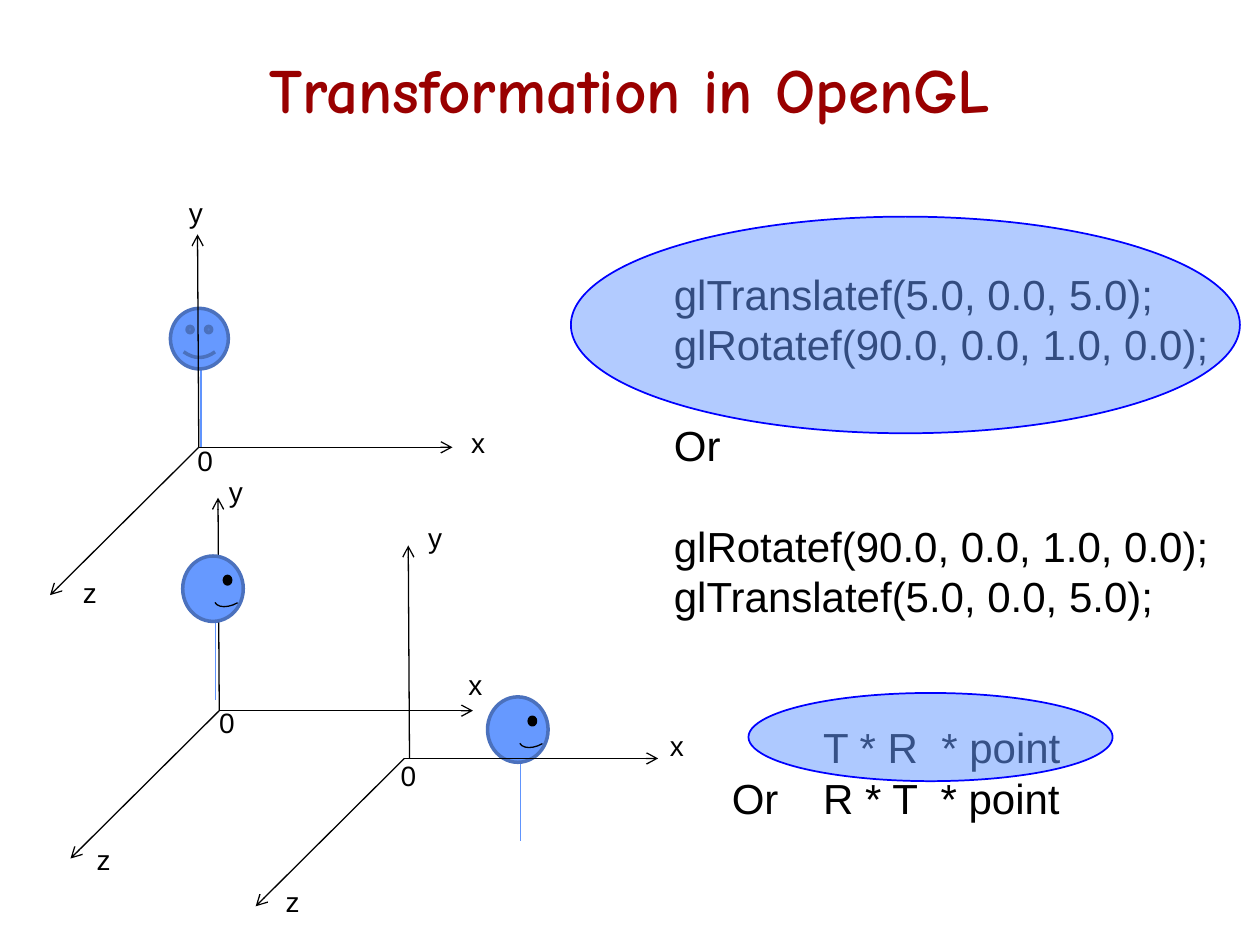
from lxml.etree import SubElement
from pptx import Presentation
from pptx.dml.color import RGBColor
from pptx.enum.shapes import MSO_CONNECTOR, MSO_SHAPE
from pptx.enum.text import MSO_ANCHOR, PP_ALIGN
from pptx.oxml.ns import qn
from pptx.util import Pt

THEME = {
    "title": "990000", "ink": "000000", "paper": "FFFFFF", "face": "6699FF",
    "rim": "4B71BD", "stick": "6094FD", "ring": "0000FF",
    "title_font": "Comic Neue", "font": "Arial",
    "title_size": 36, "code_size": 24, "label_size": 16,
}
TITLE = "Transformation in OpenGL"
LINE_PITCH, FORMULA, OR_START = 28.8, 85.3, 33.1
CODE = [
    {"text": "glTranslatef(5.0, 0.0, 5.0);"},
    {"text": "glRotatef(90.0, 0.0, 1.0, 0.0);"},
    {"text": "Or", "skip": 1},
    {"text": "glRotatef(90.0, 0.0, 1.0, 0.0);", "skip": 1},
    {"text": "glTranslatef(5.0, 0.0, 5.0);"},
    {"text": "T * R  * point", "skip": 2, "margin": FORMULA},
    {"text": "Or\tR * T  * point", "margin": FORMULA, "indent": OR_START - FORMULA},
]
AXES = {"z": (-85, 84.5), "x": (145, 0), "y": (-0.7, -121.7)}
FRAMES = [
    {"origin": (113.6, 255.6), "y_shift": 0, "head": (97.4, 176.2), "stick": (17.5, 30),
     "front": True, "over": False,
     "labels": {"0": (105.8, 249.8), "x": (262.1, 239.8), "y": (100.8, 108), "z": (40.3, 325.4)}},
    {"origin": (125.3, 406.1), "y_shift": 0, "head": (104.4, 317.7), "stick": (18.8, 33),
     "front": False, "over": True,
     "labels": {"0": (118.1, 399.6), "x": (260.6, 378), "y": (123.8, 267.8), "z": (48.2, 478.1)}},
    {"origin": (231.1, 433.4), "y_shift": 2.9, "head": (278.6, 398.2), "stick": (18.8, 33),
     "front": False, "over": False,
     "labels": {"0": (221.8, 429.8), "x": (375.8, 412.6), "y": (237.6, 293.8), "z": (156.2, 501.8)}},
]
HIGHLIGHTS = [((326.2, 123.8, 382.3, 123.8), 50), ((427.7, 396, 208.1, 50.4), 53)]


def rgb(name):
    return RGBColor.from_string(THEME[name])


def add_text(s, box, lines, size, color="ink", font="font", bold=False,
             align=PP_ALIGN.LEFT, anchor=MSO_ANCHOR.TOP, fill=None):
    sp = s.shapes.add_textbox(*map(Pt, box))
    if fill:
        sp.fill.solid()
        sp.fill.fore_color.rgb = rgb(fill)
    tf = sp.text_frame
    tf.word_wrap, tf.vertical_anchor = True, anchor
    for i, line in enumerate(lines):
        p = tf.add_paragraph() if i else tf.paragraphs[0]
        p.alignment = align
        p.space_before = Pt(line.get("skip", 0) * LINE_PITCH)
        r = p.add_run()
        r.text = line["text"]
        r.font.name, r.font.size, r.font.bold = THEME[font], Pt(THEME[size]), bold
        r.font.color.rgb = rgb(color)
        pPr = p._p.get_or_add_pPr()
        pPr.set("marL", str(Pt(line.get("margin", 0))))
        pPr.set("indent", str(Pt(line.get("indent", 0))))


def add_shape(s, kind, box, fill, line, width, alpha=None):
    sp = s.shapes.add_shape(kind, *map(Pt, box))
    sp.shadow.inherit = False
    if fill:
        sp.fill.solid()
        sp.fill.fore_color.rgb = rgb(fill)
    else:
        sp.fill.background()
    sp.line.color.rgb, sp.line.width = rgb(line), Pt(width)
    if alpha:
        clr = sp.fill._xPr.find(qn("a:solidFill"))[0]
        SubElement(clr, qn("a:alpha"), val=str(alpha * 1000))
    return sp


def add_line(s, x, y, dx, dy, color, arrow=False):
    c = s.shapes.add_connector(MSO_CONNECTOR.STRAIGHT, Pt(x), Pt(y), Pt(x + dx), Pt(y + dy))
    c.line.color.rgb, c.line.width = rgb(color), Pt(0.75)
    if arrow:
        SubElement(c.line._get_or_add_ln(), qn("a:tailEnd"), type="arrow")
    SubElement(c._element.spPr, qn("a:effectLst"))


def add_axes(s, frame):
    x, y = frame["origin"]
    for name, (dx, dy) in AXES.items():
        shift = frame["y_shift"] if name == "y" else 0
        add_line(s, x + shift, y, dx, dy, "ink", arrow=True)


def add_figure(s, frame):
    x, y = frame["head"]
    dx, dy = frame["stick"]
    add_line(s, x + dx, y + dy, 0, 49.5, "stick")
    if frame["front"]:
        add_shape(s, MSO_SHAPE.SMILEY_FACE, (x, y, 33.1, 34.6), "face", "rim", 2)
        return
    add_shape(s, MSO_SHAPE.OVAL, (x, y, 34.6, 37.4), "face", "rim", 2)
    mouth = add_shape(s, MSO_SHAPE.ARC, (x + 17, y + 14.6, 22.3, 13), None, "ink", 0.75)
    mouth.rotation = 150.5
    add_shape(s, MSO_SHAPE.OVAL, (x + 23.8, y + 11.7, 3.6, 4.3), "ink", "ink", 2)


def main():
    """Build the slide on transformation order."""
    prs = Presentation()
    prs.slide_width, prs.slide_height = Pt(720), Pt(540)
    s = prs.slides.add_slide(prs.slide_layouts[6])
    add_text(s, (54, 18, 612, 64.8), [{"text": TITLE}], "title_size", "title", "title_font",
             bold=True, align=PP_ALIGN.CENTER, anchor=MSO_ANCHOR.MIDDLE)
    for frame in FRAMES:
        for text, (x, y) in frame["labels"].items():
            add_text(s, (x, y, 38.2, 32), [{"text": text}], "label_size", fill="paper")
    add_text(s, (378, 149.8, 329.8, 326.9), CODE, "code_size")
    for frame in FRAMES:
        steps = (add_axes, add_figure) if frame["over"] else (add_figure, add_axes)
        for draw in steps:
            draw(s, frame)
    for box, alpha in HIGHLIGHTS:
        add_shape(s, MSO_SHAPE.OVAL, box, "face", "ring", 1, alpha)
    prs.save("out.pptx")


if __name__ == "__main__":
    main()
